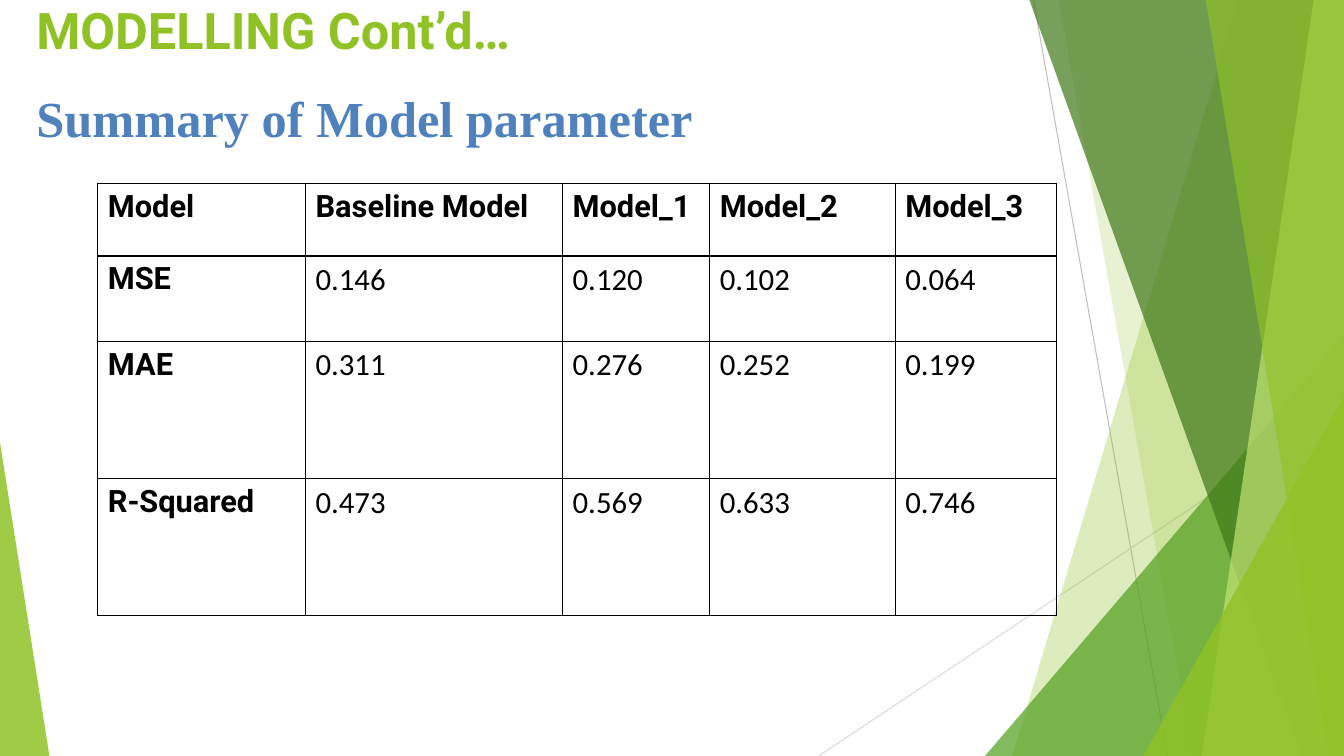
from lxml.etree import SubElement
from pptx import Presentation
from pptx.dml.color import RGBColor
from pptx.enum.shapes import MSO_CONNECTOR as Connector, MSO_SHAPE as Preset
from pptx.enum.text import MSO_ANCHOR as Anchor, MSO_AUTO_SIZE as AutoSize, PP_ALIGN as Align
from pptx.oxml import parse_xml
from pptx.oxml.ns import nsdecls, qn
from pptx.util import Inches, Pt

WIDTH, HEIGHT = 13.33, 7.5
GREEN, BLUE, BLACK = "90C226", "4F81BD", "000000"


def rgb(color):
    return RGBColor.from_string(color)


class SlideBuilder:
    heading_font, text_font = "Roboto", "Calibri"
    heading_size, table_size = 36, 22

    def __init__(self, slide):
        self.slide = slide
        self.shapes = slide.shapes

    def line(self, start, end, color):
        connector = self.shapes.add_connector(
            Connector.STRAIGHT, *(Inches(value) for value in start + end))
        connector.line.color.rgb = rgb(color)
        connector.line.width = Pt(0.75)
        SubElement(connector._element.spPr, qn("a:effectLst"))

    def paint(self, shape, color, opacity):
        shape.shadow.inherit = False
        shape.line.fill.background()
        shape.fill.solid()
        shape.fill.fore_color.rgb = rgb(color)
        color_element = shape._element.spPr.find(".//" + qn("a:srgbClr"))
        SubElement(color_element, qn("a:alpha"), val=str(opacity * 1000))

    def band(self, top_x, bottom_x, color, opacity):
        """Full-height band from a slanted left edge to the slide's right edge."""
        corners = [(top_x, 0), (WIDTH, 0), (WIDTH, HEIGHT), (bottom_x, HEIGHT)]
        points = [(Inches(x), Inches(y)) for x, y in corners]
        builder = self.shapes.build_freeform(*points[0])
        builder.add_line_segments(points[1:], close=True)
        self.paint(builder.convert_to_shape(), color, opacity)

    def triangle(self, left, top, width, apex, color, opacity):
        """Triangle standing on the slide's bottom edge."""
        shape = self.shapes.add_shape(Preset.ISOSCELES_TRIANGLE, Inches(left), Inches(top),
                                      Inches(width), Inches(HEIGHT - top))
        shape.adjustments[0] = apex
        self.paint(shape, color, opacity)

    def heading(self, placeholder, text, top, font, color):
        placeholder.left, placeholder.top = Inches(0.26), Inches(top)
        placeholder.width, placeholder.height = Inches(9.4), Inches(1.44)
        frame = placeholder.text_frame
        frame.text = text
        frame.word_wrap = True
        frame.auto_size = AutoSize.NONE
        frame.vertical_anchor = Anchor.TOP
        paragraph = frame.paragraphs[0]
        paragraph.alignment = Align.LEFT
        paragraph.space_before = Pt(0)
        properties = paragraph._p.get_or_add_pPr()
        properties.set("marL", "0")
        properties.set("indent", "0")
        SubElement(properties, qn("a:buNone"))
        self.style(paragraph, font, self.heading_size, color, True)

    def style(self, paragraph, name, size, color, bold):
        font = paragraph.font
        font.name, font.size, font.bold = name, Pt(size), bold
        font.color.rgb = rgb(color)

    def borders(self, cell):
        properties = cell._tc.get_or_add_tcPr()
        for index, side in enumerate(("lnL", "lnR", "lnT", "lnB")):
            properties.insert(index, parse_xml(
                f'<a:{side} {nsdecls("a")} w="12700"><a:solidFill>'
                f'<a:srgbClr val="{BLACK}"/></a:solidFill></a:{side}>'))

    def table(self, left, top, widths, heights, rows):
        table = self.shapes.add_table(
            len(rows), len(widths), Inches(left), Inches(top),
            Inches(sum(widths)), Inches(sum(heights))).table
        table.first_row = table.horz_banding = False
        for column, width in zip(table.columns, widths):
            column.width = Inches(width)
        for row, height in zip(table.rows, heights):
            row.height = Inches(height)
        for row_index, row in enumerate(rows):
            for column_index, text in enumerate(row):
                cell = table.cell(row_index, column_index)
                cell.text = text
                cell.fill.background()
                self.borders(cell)
                is_label = row_index == 0 or column_index == 0
                self.style(cell.text_frame.paragraphs[0],
                           self.heading_font if is_label else self.text_font,
                           self.table_size, BLACK, is_label)


def main():
    presentation = Presentation()
    presentation.slide_width, presentation.slide_height = Inches(WIDTH), Inches(HEIGHT)
    slide = presentation.slides.add_slide(presentation.slide_layouts[1])
    builder = SlideBuilder(slide)

    # Green facets on both edges
    builder.line((10.25, 0), (11.58, HEIGHT), "BFBFBF")
    builder.line((WIDTH, 4.03), (8.12, HEIGHT), "D9D9D9")
    builder.band(12.28, 10.04, GREEN, 30)
    builder.band(10.5, 11.83, GREEN, 20)
    builder.triangle(9.77, 3.33, 3.56, 1, "54A021", 72)
    builder.band(10.21, 12.91, "3F7819", 70)
    builder.band(13.03, 11.92, "C0E474", 70)
    builder.band(11.96, 13.18, GREEN, 65)
    builder.triangle(11.34, 3.93, 1.99, 1, GREEN, 80)
    builder.triangle(0, 4.39, 0.49, 0, GREEN, 85)

    # Headings
    builder.heading(slide.shapes.title, "MODELLING Cont’d…", -0.06,
                    builder.heading_font, GREEN)
    builder.heading(slide.placeholders[1], "Summary of Model parameter", 0.81,
                    "Times New Roman", BLUE)

    # Model scores
    builder.table(0.97, 1.82, [2.06, 2.55, 1.46, 1.84, 1.6], [0.72, 0.85, 1.36, 1.36], [
        ("Model", "Baseline Model", "Model_1", "Model_2", "Model_3"),
        ("MSE", "0.146", "0.120", "0.102", "0.064"),
        ("MAE", "0.311", "0.276", "0.252", "0.199"),
        ("R-Squared", "0.473", "0.569", "0.633", "0.746"),
    ])

    presentation.save("out.pptx")


if __name__ == "__main__":
    main()
